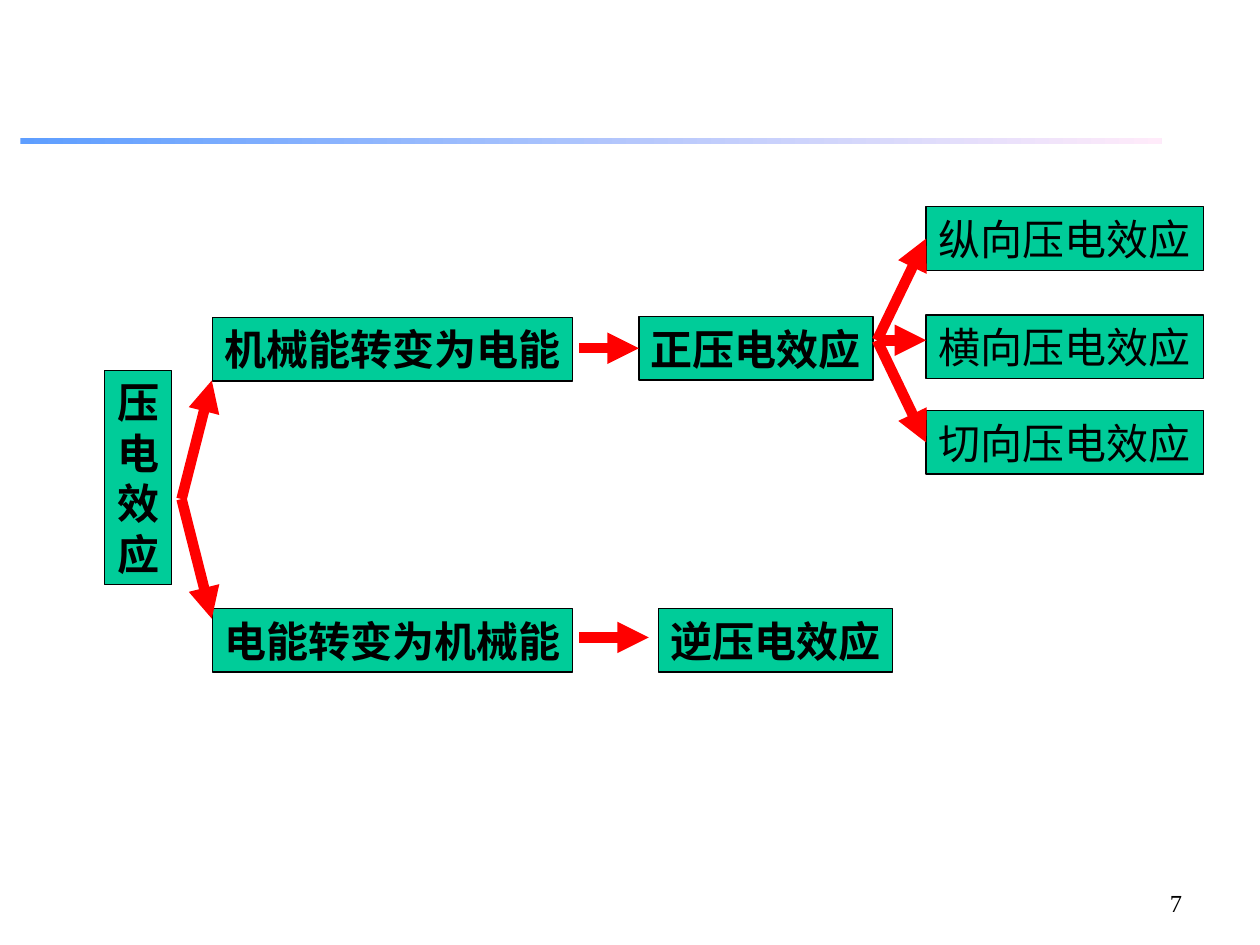
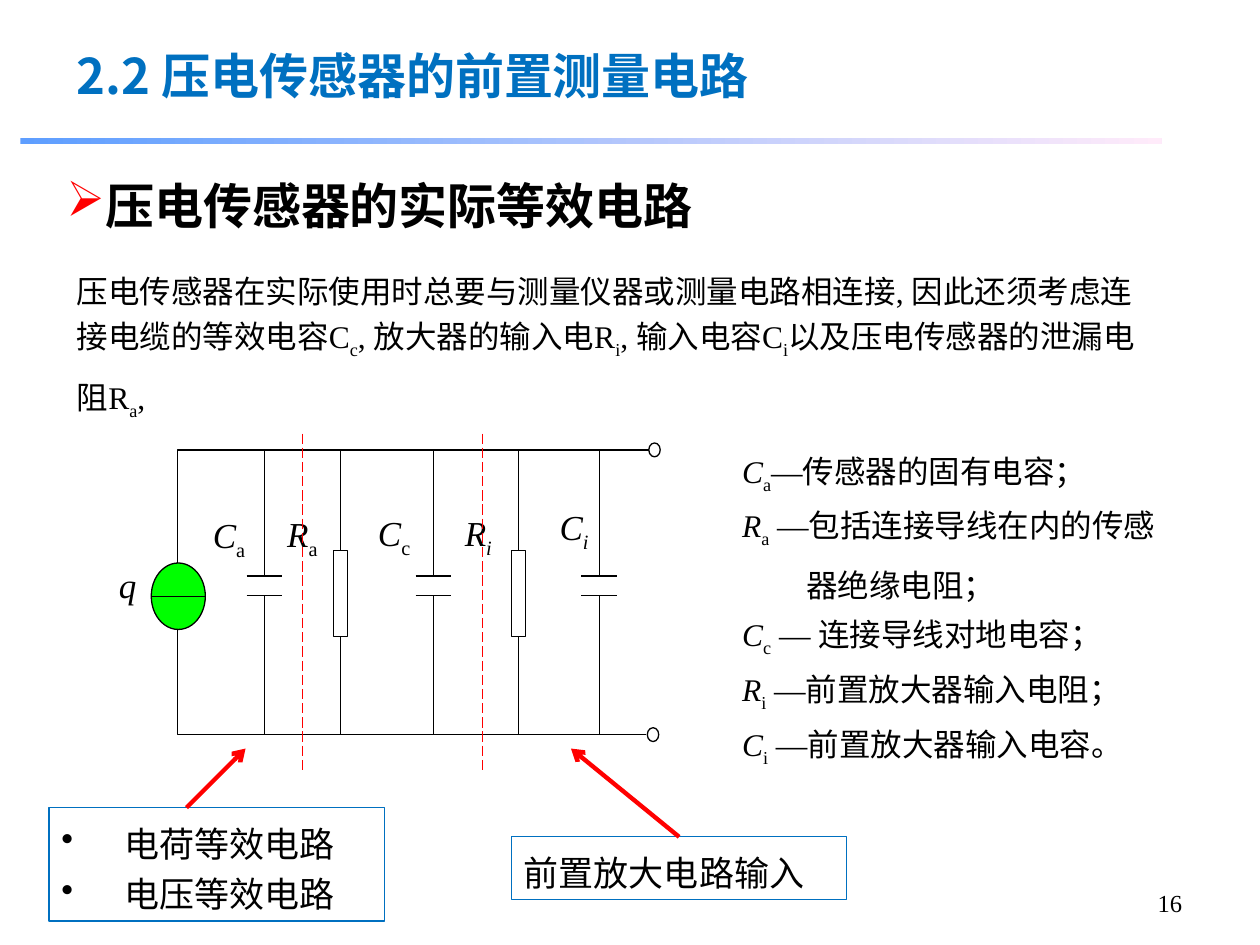
import pptx
import pptx.dml.color
import pptx.enum.dml
import pptx.enum.shapes
import pptx.enum.text
import pptx.oxml.ns
import pptx.util
from lxml import etree

Cm = pptx.util.Cm
Pt = pptx.util.Pt
SHAPE = pptx.enum.shapes.MSO_SHAPE
ALIGN = pptx.enum.text.PP_ALIGN
ANCHOR = pptx.enum.text.MSO_ANCHOR
qn = pptx.oxml.ns.qn

SANS = "Noto Sans CJK SC"
SERIF = "Times New Roman"
BLACK, WHITE, RED, BLUE = "000000", "FFFFFF", "FF0000", "0070C0"
TEAL, GREEN = "00CC99", "00FF00"
BAND_START, BAND_END = "5E9EFF", "FFEBFA"
TOP, LEFT = 0, 1


def rgb(value):
    return pptx.dml.color.RGBColor.from_string(value)


class Deck:
    def __init__(self):
        self.prs = pptx.Presentation()
        self.prs.slide_width, self.prs.slide_height = Cm(25.4), Cm(19.05)
        self.slide = None

    def new_slide(self, number):
        self.slide = self.prs.slides.add_slide(self.prs.slide_layouts[6])
        band = self.shape(SHAPE.RECTANGLE, 0.41, 2.78, 23.01, 0.13, line=None)
        band.fill.gradient()
        band.fill.gradient_angle = 0
        for stop, color in zip(band.fill.gradient_stops, (BAND_START, BAND_END)):
            stop.color.rgb = rgb(color)
        self.text(number, 23.01, 17.78, 1.07, 1.27, size=14, font=SERIF, align=ALIGN.RIGHT)

    def shape(self, kind, x, y, w, h, fill=None, line=BLACK):
        shape = self.slide.shapes.add_shape(kind, Cm(x), Cm(y), Cm(w), Cm(h))
        self.paint(shape, fill, line)
        return shape

    def paint(self, shape, fill, line):
        shape.shadow.inherit = False
        if fill:
            shape.fill.solid()
            shape.fill.fore_color.rgb = rgb(fill)
        else:
            shape.fill.background()
        if line:
            shape.line.color.rgb = rgb(line)
            shape.line.width = Pt(0.75)
        else:
            shape.line.fill.background()

    def outline(self, points):
        start, *rest = [(Cm(x), Cm(y)) for x, y in points]
        builder = self.slide.shapes.build_freeform(*start)
        builder.add_line_segments(rest, close=False)
        self.paint(builder.convert_to_shape(), None, BLACK)

    def line(self, start, end, color=BLACK, width=0.75, head=None, dash=None,
             begin=None, finish=None):
        points = [Cm(value) for value in (*start, *end)]
        line = self.slide.shapes.add_connector(
            pptx.enum.shapes.MSO_CONNECTOR.STRAIGHT, *points)
        if begin:
            line.begin_connect(*begin)
        if finish:
            line.end_connect(*finish)
        line.line.color.rgb = rgb(color)
        line.line.width = Pt(width)
        if dash:
            line.line.dash_style = dash
        properties = line._element.spPr
        if head:
            etree.SubElement(properties.find(qn("a:ln")), qn("a:tailEnd"), type=head)
        etree.SubElement(properties, qn("a:effectLst"))

    def text(self, content, x, y, w, h, margins=(0.25, 0.13), anchor=ANCHOR.TOP, **style):
        box = self.slide.shapes.add_textbox(Cm(x), Cm(y), Cm(w), Cm(h))
        self.label(box, content, margins, anchor, **style)
        return box

    def label(self, shape, content, margins=(0.25, 0.13), anchor=ANCHOR.MIDDLE, wrap=True,
              size=24, font=SANS, color=BLACK, bold=False, align=ALIGN.LEFT,
              spacing=None, bullet=None, bullet_color=BLACK, hanging=0):
        frame = shape.text_frame
        frame.word_wrap = wrap
        frame.vertical_anchor = anchor
        frame.margin_left = frame.margin_right = Cm(margins[0])
        frame.margin_top = frame.margin_bottom = Cm(margins[1])
        if isinstance(content, str):
            frame.text = content
        else:
            self.add_runs(frame, content)
        for paragraph in frame.paragraphs:
            paragraph.alignment = align
            if spacing:
                paragraph.line_spacing = spacing
            if bullet:
                self.bullet(paragraph, bullet, bullet_color, hanging)
            for run in paragraph.runs:
                run.font.size = run.font.size or Pt(size)
                run.font.name = font
                run.font.bold = bold
                run.font.color.rgb = rgb(color)
                etree.SubElement(run._r.get_or_add_rPr(), qn("a:ea"), typeface=SANS)

    def add_runs(self, frame, paragraphs):
        for index, parts in enumerate(paragraphs):
            paragraph = frame.add_paragraph() if index else frame.paragraphs[0]
            for words, marks in parts:
                run = paragraph.add_run()
                run.text = words
                run.font.italic = "i" in marks
                if "s" in marks:
                    run._r.get_or_add_rPr().set("baseline", "-25000")
                if "L" in marks:
                    run.font.size = Pt(24)

    def bullet(self, paragraph, symbol, color, hanging):
        properties = paragraph._p.get_or_add_pPr()
        properties.set("marL", str(Cm(hanging)))
        properties.set("indent", str(-Cm(hanging)))
        bullet_color = etree.SubElement(properties, qn("a:buClr"))
        etree.SubElement(bullet_color, qn("a:srgbClr"), val=color)
        etree.SubElement(properties, qn("a:buChar"), char=symbol)

    def node(self, words, x, y, w, h=1.28, bold=True, spacing=None):
        node = self.shape(SHAPE.RECTANGLE, x, y, w, h, TEAL)
        self.label(node, words, wrap=False, bold=bold, align=ALIGN.CENTER, spacing=spacing)
        return node

    def flow(self, start, end, target=None):
        self.line(start, end, RED, 6, "triangle", finish=target and (target, LEFT))

    def callout(self, words, x, y, w, h, **style):
        box = self.shape(SHAPE.RECTANGLE, x, y, w, h, line=BLUE)
        self.label(box, words, anchor=ANCHOR.TOP, size=20, spacing=Pt(28.8), **style)
        return box

    def capacitor(self, x, top, bottom):
        upper, lower = 11.61, 12.0
        for plate in (upper, lower):
            self.line((x - 0.36, plate), (x + 0.36, plate))
        self.line((x, upper), (x, top))
        self.line((x, bottom), (x, lower))

    def resistor(self, x, top, bottom):
        self.line((x, top), (x, bottom))
        self.shape(SHAPE.RECTANGLE, x - 0.14, 11.1, 0.28, 1.73, WHITE)


def effects_slide(deck):
    deck.new_slide("7")
    deck.node("机械能转变为电能", 4.29, 6.4, 7.26)
    deck.node("电能转变为机械能", 4.29, 12.27, 7.26)
    direct = deck.node("正压电效应", 12.88, 6.38, 4.72)
    deck.node("逆压电效应", 13.28, 12.27, 4.72)
    longitudinal, _, shear = [
        deck.node(words, 18.67, y, 5.59, bold=False)
        for words, y in (("纵向压电效应", 4.17), ("横向压电效应", 6.35), ("切向压电效应", 8.28))]
    deck.node("压\n电\n效\n应", 2.11, 7.47, 1.35, 4.32, spacing=Pt(28.8))

    root, fork = (3.66, 10.06), (17.68, 6.86)
    deck.flow(root, (4.27, 7.67))
    deck.flow(root, (4.27, 12.47))
    deck.flow((11.68, 7.02), (12.88, 7.02), direct)
    deck.flow((11.68, 12.85), (13.08, 12.85))
    deck.flow(fork, (18.67, 4.81), longitudinal)
    deck.flow(fork, (18.67, 6.86))
    deck.flow(fork, (18.67, 8.92), shear)


def circuit(deck):
    top, bottom, left = 9.07, 14.81, 3.58
    deck.outline([(13.08, top), (left, top), (left, bottom), (13.03, bottom)])
    for x in (6.87, 10.45):
        deck.resistor(x, top, bottom)
    for x in (5.33, 8.74, 12.08):
        deck.capacitor(x, top, bottom)
    deck.shape(SHAPE.OVAL, 3.05, 11.35, 1.09, 1.34, GREEN)
    deck.line((3.05, 12.03), (4.14, 12.03))
    for x, y in ((13.08, top), (13.05, bottom)):
        deck.shape(SHAPE.OVAL, x, y - 0.14, 0.23, 0.28)

    symbols = [("C", "a", "s", 4.29, 10.36), ("R", "a", "s", 5.79, 10.34),
               ("C", "c", "s", 7.62, 10.31), ("R", "i", "is", 9.37, 10.31),
               ("C", "i", "is", 11.28, 10.19)]
    for letter, index, marks, x, y in symbols:
        deck.text([[(letter, "i"), (index, marks)]], x, y, 1.1, 1.1,
                  margins=(0, 0), size=20, font=SERIF)
    deck.text([[("q", "i")]], 1.91, 11.35, 0.84, 1.75, margins=(0, 0),
              size=20, font=SERIF, align=ALIGN.RIGHT)
    for x in (6.1, 9.73):
        deck.line((x, 8.74), (x, 15.52), RED, dash=pptx.enum.dml.MSO_LINE.LONG_DASH)


def circuit_slide(deck):
    deck.new_slide("16")
    deck.text("2.2 压电传感器的前置测量电路", 1.3, 0.71, 16.76, 1.45,
              size=28, color=BLUE, bold=True, spacing=Pt(36))
    deck.text("压电传感器的实际等效电路", 1.09, 3.33, 14.2, 1.45, size=28, bold=True,
              spacing=Pt(36), bullet="➢", bullet_color=RED)
    deck.text([[("压电传感器在实际使用时总要与测量仪器或测量电路相连接, "
                 "因此还须考虑连接电缆的等效电容C", ""), ("c", "s"),
                (", 放大器的输入电R", ""), ("i", "s"), (", 输入电容C", ""), ("i", "s"),
                ("以及压电传感器的泄漏电阻R", ""), ("a", "s"), (",", ""), (" ", "L")]],
              1.3, 4.93, 22.2, 4.01, anchor=ANCHOR.MIDDLE, size=18, font=SERIF, spacing=1.15)

    meanings = [("C", "a", "—传感器的固有电容；"), ("R", "a", " —包括连接导线在内的传感"),
                ("C", "c", " — 连接导线对地电容；"), ("R", "i", " —前置放大器输入电阻；"),
                ("C", "i", " —前置放大器输入电容。")]
    legend_lines = [[(letter, "i"), (index, "s"), (meaning, "")]
                    for letter, index, meaning in meanings]
    legend_lines.insert(2, [("器绝缘电阻；", "")])
    legend = deck.text(legend_lines, 14.71, 8.74, 8.99, 6.88,
                       size=18, font=SERIF, spacing=Pt(31.2))
    continuation = legend.text_frame.paragraphs[2]._p.get_or_add_pPr()
    continuation.set("marL", str(Cm(1.29)))

    circuit(deck)
    deck.callout("电荷等效电路\n电压等效电路", 0.99, 16.28, 6.76, 2.29,
                 bullet="•", hanging=1.27)
    amplifier = deck.callout("前置放大电路输入", 10.31, 16.87, 6.76, 1.27)
    deck.line((3.76, 16.28), (4.95, 15.09), RED, 2.5, "arrow")
    deck.line((13.69, 16.87), (11.51, 15.09), RED, 2.5, "arrow", begin=(amplifier, TOP))


def main():
    deck = Deck()
    effects_slide(deck)
    circuit_slide(deck)
    deck.prs.save("out.pptx")


if __name__ == "__main__":
    main()
